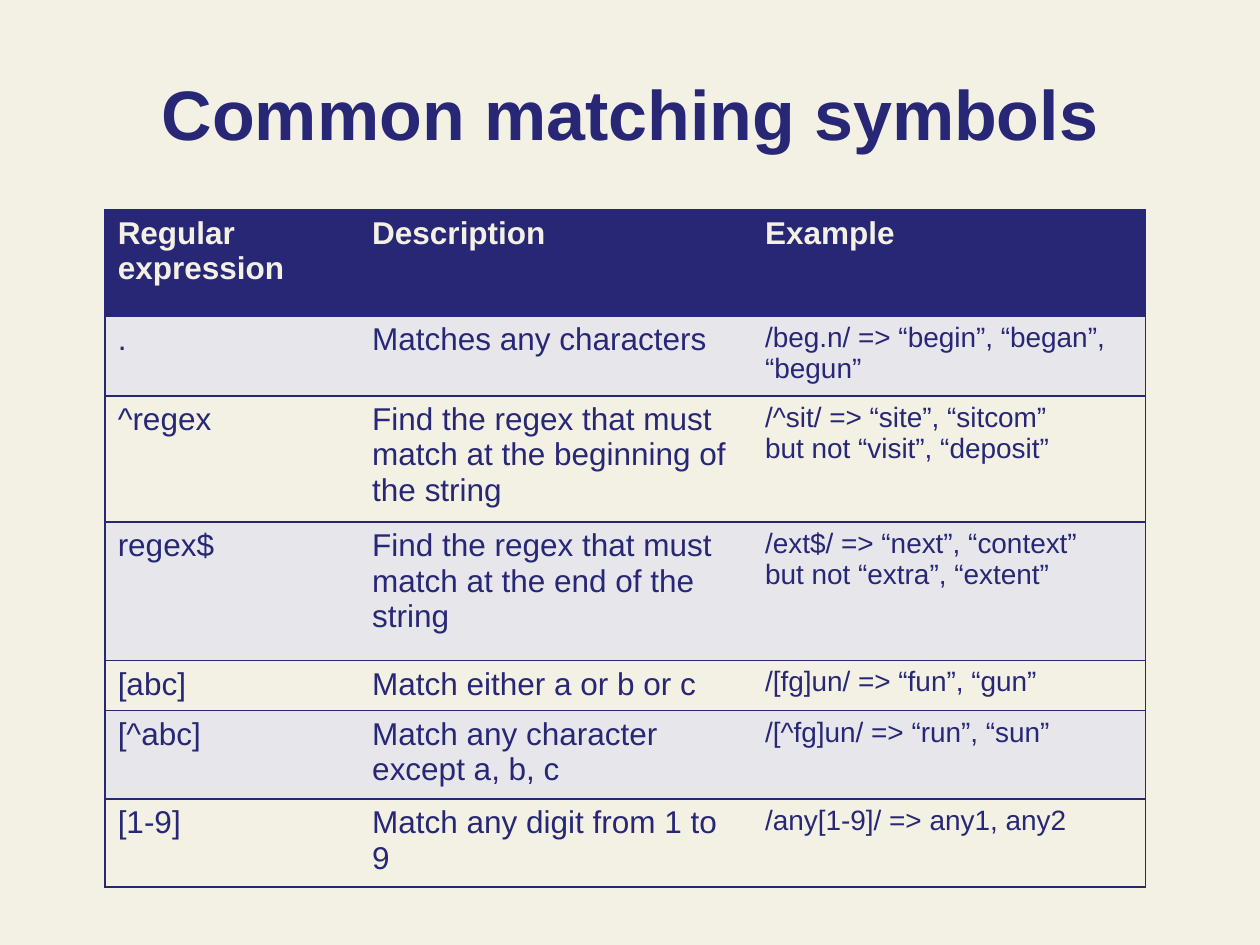
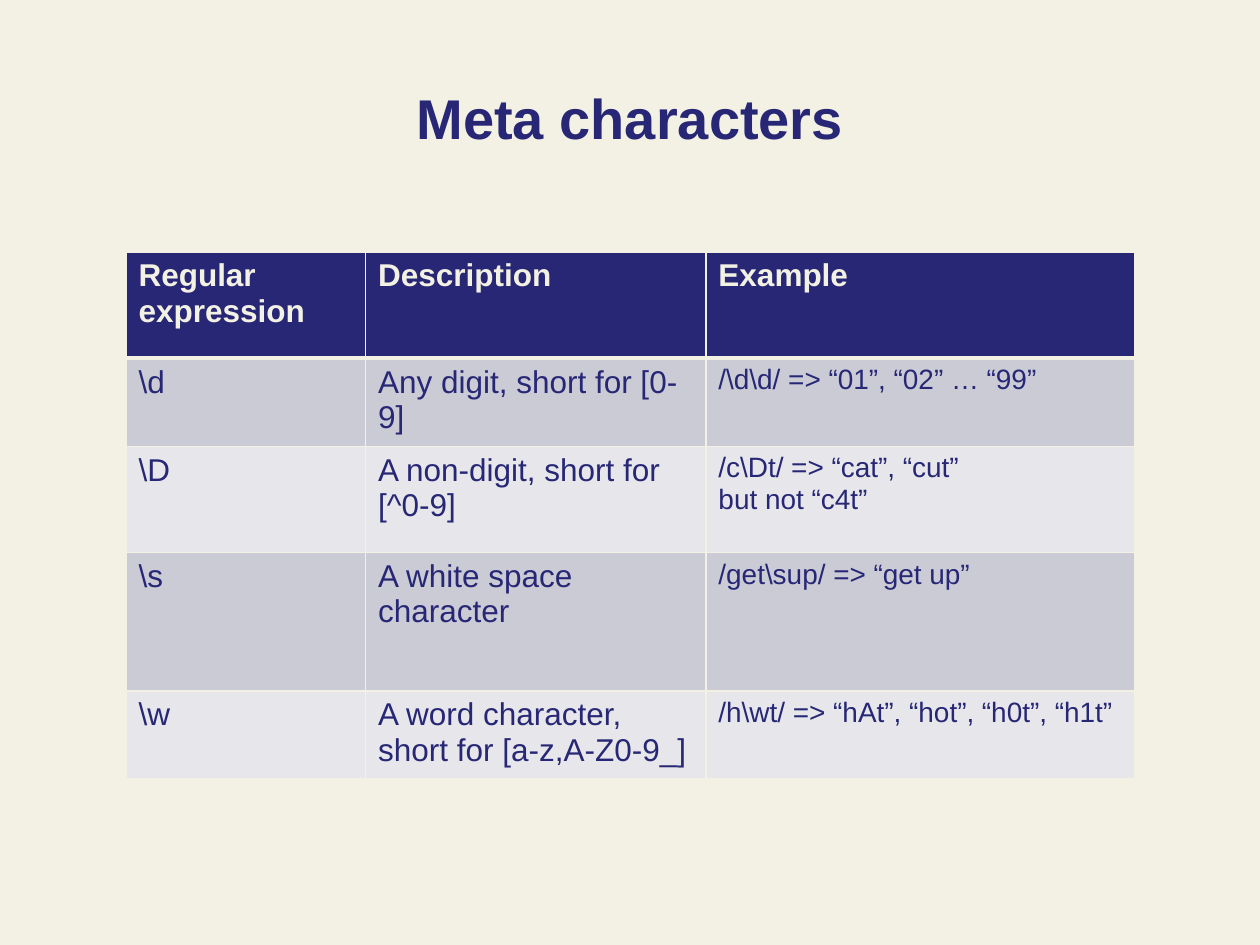
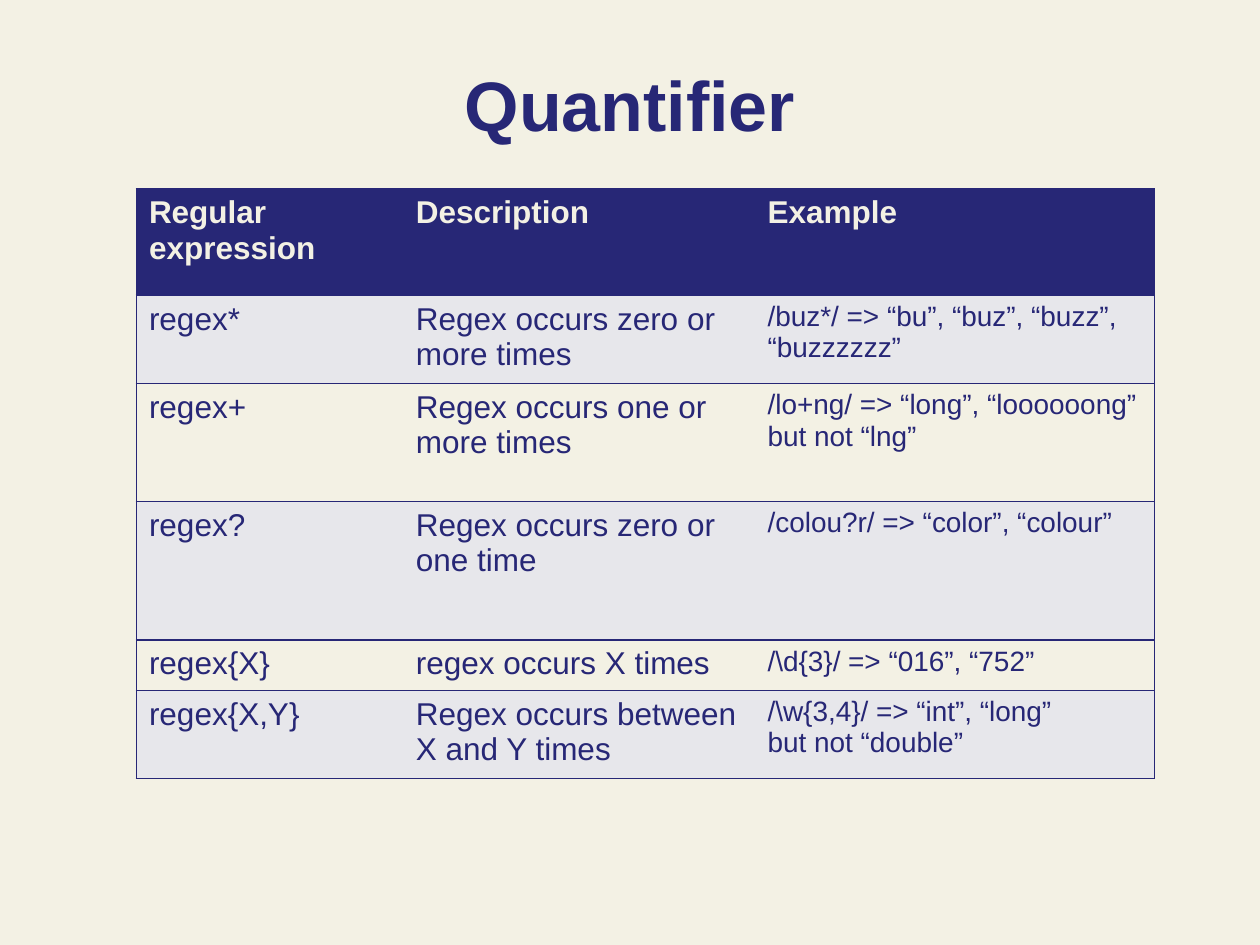
from lxml.etree import SubElement
from pptx import Presentation
from pptx.dml.color import RGBColor
from pptx.enum.text import MSO_ANCHOR, PP_ALIGN
from pptx.oxml.ns import qn
from pptx.util import Cm, Pt

COLORS = {
    "cream": "F3F1E4",
    "navy": "272776",
    "light band": "E7E7EB",
    "dark band": "CBCBD5",
}
FONT = "Arial"
NO_STYLE = "{2D5ABB26-0587-4C30-8999-92F81FD0307C}"
HEADINGS = ("Regular expression", "Description", "Example")

# Row heights in cm
HEADER, ONE_LINE, TWO_SMALL, TWO_LINES, THREE_LINES, TALL = 2.14, 0.97, 1.51, 1.68, 2.38, 2.79


def rgb(color):
    return RGBColor.from_string(COLORS[color])


class Deck:
    """Holds the shared style and the slide being built."""

    def __init__(self):
        self.prs = Presentation()
        self.prs.slide_width, self.prs.slide_height = Cm(25.4), Cm(19.05)
        self.slide = None

    def new_slide(self):
        self.slide = self.prs.slides.add_slide(self.prs.slide_layouts[6])
        background = self.slide.background.fill
        background.solid()
        background.fore_color.rgb = rgb("cream")

    def run(self, paragraph, text, size, color, bold=False):
        font_run = paragraph.add_run()
        font_run.text = text
        font = font_run.font
        font.name, font.size, font.bold = FONT, Pt(size), bold
        font.color.rgb = rgb(color)

    def title(self, text, top, height, size=40):
        frame = self.slide.shapes.add_textbox(Cm(1.27), Cm(top), Cm(22.86), Cm(height)).text_frame
        frame.word_wrap = True
        frame.vertical_anchor = MSO_ANCHOR.BOTTOM
        heading = frame.paragraphs[0]
        heading.alignment = PP_ALIGN.CENTER
        self.run(heading, text, size, "navy", bold=True)

    def border(self, cell, side, color, width=1):
        line = SubElement(cell._tc.get_or_add_tcPr(), qn(f"a:ln{side}"), w=str(Pt(width)))
        fill = SubElement(line, qn("a:solidFill"))
        SubElement(fill, qn("a:srgbClr"), val=COLORS[color])

    def borders(self, cell, row, column, boxed):
        for side in "LRTB":
            if boxed:
                # Navy frame and row rules, no inner column rules
                if side in "TB" or (side, column) in (("L", 0), ("R", 2)):
                    self.border(cell, side, "navy")
            else:
                # Cream grid with a thick rule below the header
                thick = (side, row) in (("B", 0), ("T", 1))
                self.border(cell, side, "cream", 3 if thick else 1)

    def cell(self, cell, text, size, color, fill, bold):
        cell.fill.solid()
        cell.fill.fore_color.rgb = rgb(fill)
        frame = cell.text_frame
        for number, line in enumerate(text.split("\n")):
            paragraph = frame.add_paragraph() if number else frame.paragraphs[0]
            self.run(paragraph, line, size, color, bold)

    def regex_table(self, left, top, widths, entries, bands, boxed=True):
        heights = [HEADER] + [entry[0] for entry in entries]
        rows = [HEADINGS] + [entry[1:] for entry in entries]
        table = self.slide.shapes.add_table(
            len(rows), len(widths), Cm(left), Cm(top), Cm(sum(widths)), Cm(sum(heights))
        ).table
        table.horz_banding = False
        table._tbl.tblPr.find(qn("a:tableStyleId")).text = NO_STYLE
        for column, width in zip(table.columns, widths):
            column.width = Cm(width)
        for r, (texts, height) in enumerate(zip(rows, heights)):
            table.rows[r].height = Cm(height)
            header = r == 0
            fill = "navy" if header else bands[(r - 1) % 2]
            for c, text in enumerate(texts):
                cell = table.cell(r, c)
                self.borders(cell, r, c, boxed)
                size = 16 if c == 2 and not header else 18
                self.cell(cell, text, size, "cream" if header else "navy", fill, header)


SYMBOLS = [
    (TWO_SMALL, ".", "Matches any characters", "/beg.n/ => “begin”, “began”, “begun”"),
    (THREE_LINES, "^regex", "Find the regex that must match at the beginning of the string",
     "/^sit/ => “site”, “sitcom”\nbut not “visit”, “deposit”"),
    (TALL, "regex$", "Find the regex that must match at the end of the string",
     "/ext$/ => “next”, “context”\nbut not “extra”, “extent”"),
    (ONE_LINE, "[abc]", "Match either a or b or c", "/[fg]un/ => “fun”, “gun”"),
    (TWO_LINES, "[^abc]", "Match any character except a, b, c", "/[^fg]un/ => “run”, “sun”"),
    (TWO_LINES, "[1-9]", "Match any digit from 1 to 9", "/any[1-9]/ => any1, any2"),
]
META_CHARACTERS = [
    (TWO_LINES, r"\d", "Any digit, short for [0-9]", r"/\d\d/ => “01”, “02” … “99”"),
    (HEADER, r"\D", "A non-digit, short for [^0-9]", r"/c\Dt/ => “cat”, “cut”" "\nbut not “c4t”"),
    (TALL, r"\s", "A white space character", r"/get\sup/ => “get up”"),
    (TWO_LINES, r"\w", "A word character, short for [a-z,A-Z0-9_]",
     r"/h\wt/ => “hAt”, “hot”, “h0t”, “h1t”"),
]
QUANTIFIERS = [
    (TWO_LINES, "regex*", "Regex occurs zero or more times",
     "/buz*/ => “bu”, “buz”, “buzz”, “buzzzzzz”"),
    (THREE_LINES, "regex+", "Regex occurs one or more times",
     "/lo+ng/ => “long”, “loooooong”\nbut not “lng”"),
    (TALL, "regex?", "Regex occurs zero or one time", "/colou?r/ => “color”, “colour”"),
    (ONE_LINE, "regex{X}", "regex occurs X times", r"/\d{3}/ => “016”, “752”"),
    (TWO_LINES, "regex{X,Y}", "Regex occurs between X and Y times",
     r"/\w{3,4}/ => “int”, “long”" "\nbut not “double”"),
]


def main():
    deck = Deck()

    # Common matching symbols
    deck.new_slide()
    deck.title("Common matching symbols", 1.27, 1.98)
    deck.regex_table(2.12, 4.23, (5.13, 7.92, 7.92), SYMBOLS, ("light band", "cream"))

    # Meta characters
    deck.new_slide()
    deck.title("Meta characters", 0.76, 2.41, size=32)
    deck.regex_table(2.54, 5.08, (4.83, 6.86, 8.64), META_CHARACTERS,
                     ("dark band", "light band"), boxed=False)

    # Quantifier
    deck.new_slide()
    deck.title("Quantifier", 1.07, 1.98)
    deck.regex_table(2.75, 3.81, (5.38, 7.09, 8.05), QUANTIFIERS, ("light band", "cream"))

    deck.prs.save("out.pptx")


if __name__ == "__main__":
    main()
